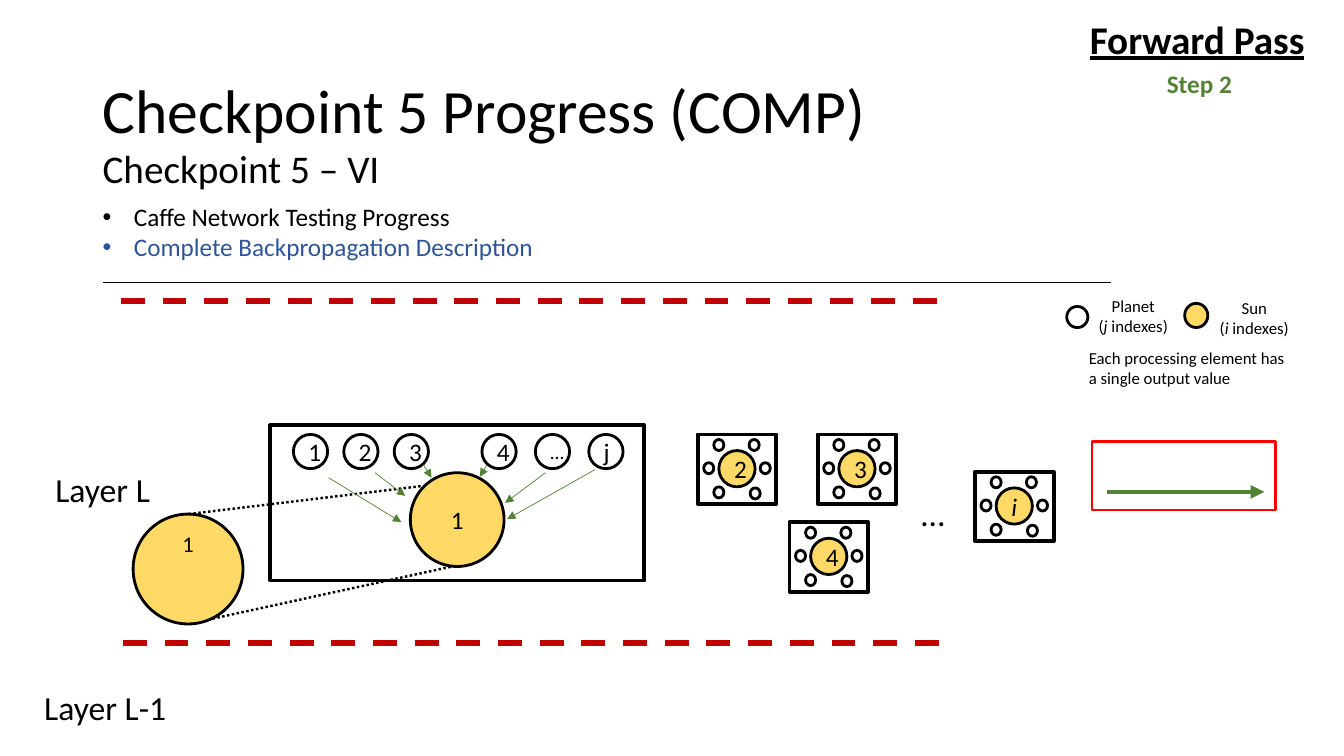
"""Build the Checkpoint 5 slide on the forward pass, step 2."""
import dataclasses

import lxml.etree
import pptx
import pptx.dml.color
import pptx.enum.dml
import pptx.enum.shapes
import pptx.enum.text
import pptx.oxml.ns
import pptx.util

PX = 9144
ALIGN = pptx.enum.text.PP_ALIGN
ANCHOR = pptx.enum.text.MSO_ANCHOR
DASH = pptx.enum.dml.MSO_LINE
SHAPE = pptx.enum.shapes.MSO_SHAPE
qn = pptx.oxml.ns.qn


@dataclasses.dataclass(frozen=True)
class Theme:
    font: str = "Calibri"
    ink: str = "000000"
    paper: str = "FFFFFF"
    sun: str = "FFD966"
    green: str = "548235"
    blue: str = "2F5597"
    boundary: str = "C00000"
    highlight: str = "FF0000"
    title: int = 44
    heading: int = 28
    layer: int = 24
    body: int = 18
    detail: int = 16
    dots: int = 14
    caption: int = 12
    frame: float = 2.75
    outline: float = 2
    hairline: float = 0.5


class SlideBuilder:
    def __init__(self, deck, theme):
        self.theme = theme
        self.slide = deck.slides.add_slide(deck.slide_layouts[6])

    def colour(self, code):
        return pptx.dml.color.RGBColor.from_string(code)

    def add_runs(self, paragraph, runs, size, colour=None, bold=None, underline=None):
        for run_text, italic in runs:
            run = paragraph.add_run()
            run.text = run_text
            font = run.font
            font.name = self.theme.font
            font.size = pptx.util.Pt(size)
            font.color.rgb = self.colour(colour or self.theme.ink)
            font.italic = italic
            font.bold = bold
            font.underline = underline

    def bullet(self, paragraph):
        properties = paragraph._p.get_or_add_pPr()
        properties.set("marL", str(31 * PX))
        properties.set("indent", str(-31 * PX))
        lxml.etree.SubElement(properties, qn("a:buFont"), typeface="Arial")
        lxml.etree.SubElement(properties, qn("a:buChar"), char="•")

    def text(self, box, lines, size, align=ALIGN.LEFT, anchor=ANCHOR.TOP,
             spacing=None, bullets=False, colours=(), **styles):
        frame = self.slide.shapes.add_textbox(*(v * PX for v in box)).text_frame
        frame.word_wrap = True
        frame.vertical_anchor = anchor
        for index, runs in enumerate(lines):
            paragraph = frame.add_paragraph() if index else frame.paragraphs[0]
            if bullets:
                self.bullet(paragraph)
            paragraph.alignment = align
            paragraph.line_spacing = spacing
            colour = colours[index] if colours else None
            self.add_runs(paragraph, runs, size, colour, **styles)

    def shape(self, kind, box, fill=None, line=None, width=None,
              label="", size=None, italic=False, group=None):
        shapes = (group or self.slide).shapes
        shape = shapes.add_shape(kind, *(v * PX for v in box))
        shape.shadow.inherit = False
        if fill:
            shape.fill.solid()
            shape.fill.fore_color.rgb = self.colour(fill)
        else:
            shape.fill.background()
        shape.line.color.rgb = self.colour(line or self.theme.ink)
        shape.line.width = pptx.util.Pt(width or self.theme.outline)
        if label:
            shape.text_frame.vertical_anchor = ANCHOR.MIDDLE
            paragraph = shape.text_frame.paragraphs[0]
            paragraph.alignment = ALIGN.CENTER
            self.add_runs(paragraph, [(label, italic)], size or self.theme.body)
        return shape

    def circle(self, box, fill, **options):
        return self.shape(SHAPE.OVAL, box, fill, **options)

    def line(self, ends, colour, width, dash=None, arrow=False, group=None):
        connector = (group or self.slide).shapes.add_connector(
            pptx.enum.shapes.MSO_CONNECTOR.STRAIGHT, *(v * PX for v in ends))
        connector.line.color.rgb = self.colour(colour)
        connector.line.width = pptx.util.Pt(width)
        if dash:
            connector.line.dash_style = dash
        properties = connector._element.spPr
        if arrow:
            lxml.etree.SubElement(properties.find(qn("a:ln")), qn("a:tailEnd"), type="triangle")
        lxml.etree.SubElement(properties, qn("a:effectLst"))

    def system(self, left, top, label, italic=False):
        group = self.slide.shapes.add_group_shape()
        self.shape(SHAPE.RECTANGLE, (left, top, 78, 69), width=self.theme.frame, group=group)
        self.circle((left + 21, top + 16, 36, 36), self.theme.sun,
                    label=label, italic=italic, group=group)
        for dx, dy in ((16, 5), (6, 28), (16, 52), (51, 5), (62, 28), (52, 53)):
            self.circle((left + dx, top + dy, 10, 11), self.theme.paper, group=group)


def plain(*lines):
    return [[(line, False)] for line in lines]


def index_caption(name, letter):
    return [[(name, False)], [("(", False), (letter, True), (" indexes)", False)]]


def main():
    deck = pptx.Presentation()
    deck.slide_width, deck.slide_height = 1333 * PX, 750 * PX
    theme = Theme()
    page = SlideBuilder(deck, theme)

    for zoom_edge in ((187, 510, 420, 482), (187, 619, 453, 561)):
        page.line(zoom_edge, theme.ink, 1.75, DASH.ROUND_DOT)

    page.text((92, 40, 1150, 145), plain("Checkpoint 5 Progress (COMP)"), theme.title,
              anchor=ANCHOR.MIDDLE, spacing=0.9)
    page.text((92, 195, 1150, 71),
              plain("Caffe Network Testing Progress", "Complete Backpropagation Description"),
              theme.body, bullets=True, colours=(theme.ink, theme.blue))
    page.text((92, 141, 1150, 56), plain("Checkpoint 5 – VI"), theme.heading,
              anchor=ANCHOR.MIDDLE, spacing=0.9)
    page.line((102, 280, 1102, 280), theme.ink, theme.hairline)

    page.shape(SHAPE.RECTANGLE, (268, 422, 371, 154), width=theme.frame)
    planets = ((291, "1"), (341, "2"), (391, "3"), (478, "4"), (531, "…"), (584, "j"))
    for left, label in planets:
        page.circle((left, 431, 34, 34), theme.paper, label=label,
                    size=theme.dots if label == "…" else theme.body)
    page.circle((407, 469, 93, 93), theme.sun, label="1")

    for left, top, label in ((692, 431, "2"), (811, 431, "3"), (783, 518, "4")):
        page.system(left, top, label)
    for boundary in ((122, 638, 940, 638), (120, 299, 940, 299)):
        page.line(boundary, theme.boundary, 4.25, DASH.DASH)
    page.text((904, 484, 40, 50), plain("…"), theme.layer)
    page.text((34, 677, 143, 50), plain("Layer L-1"), theme.layer)

    page.circle((1058, 304, 21, 21), theme.paper)
    page.circle((1175, 301, 23, 24), theme.sun)
    page.text((1078, 288, 92, 50), index_caption("Planet", "j"), theme.caption, ALIGN.CENTER)
    page.text((1070, 340, 221, 50), plain("Each processing element has a single output value"),
              theme.caption)
    page.text((1071, 10, 248, 57), plain("Forward Pass"), theme.heading,
              bold=True, underline=True)
    page.system(967, 468, "i", italic=True)
    page.text((45, 460, 122, 50), plain("Layer L"), theme.layer)
    page.text((1198, 290, 92, 50), index_caption("Sun", "i"), theme.caption, ALIGN.CENTER)

    planet_arrows = ((326, 474, 398, 518), (372, 469, 402, 492), (420, 461, 428, 474),
                     (483, 461, 476, 473), (541, 469, 501, 499), (590, 466, 503, 515))
    for ends in planet_arrows:
        page.line(ends, theme.green, theme.hairline, arrow=True)
    page.text((1144, 63, 91, 40), plain("Step 2"), theme.body, ALIGN.CENTER,
              colours=(theme.green,), bold=True)

    lower_sun = page.circle((132, 510, 109, 109), theme.sun, label="1", size=theme.detail)
    lower_sun.text_frame.vertical_anchor = ANCHOR.TOP
    lower_sun.text_frame.margin_top = 0

    direction = page.slide.shapes.add_group_shape()
    page.line((1098, 488, 1254, 488), theme.green, 3.25, arrow=True, group=direction)
    page.shape(SHAPE.RECTANGLE, (1083, 438, 182, 68), line=theme.highlight, group=direction)

    deck.save("out.pptx")


if __name__ == "__main__":
    main()
